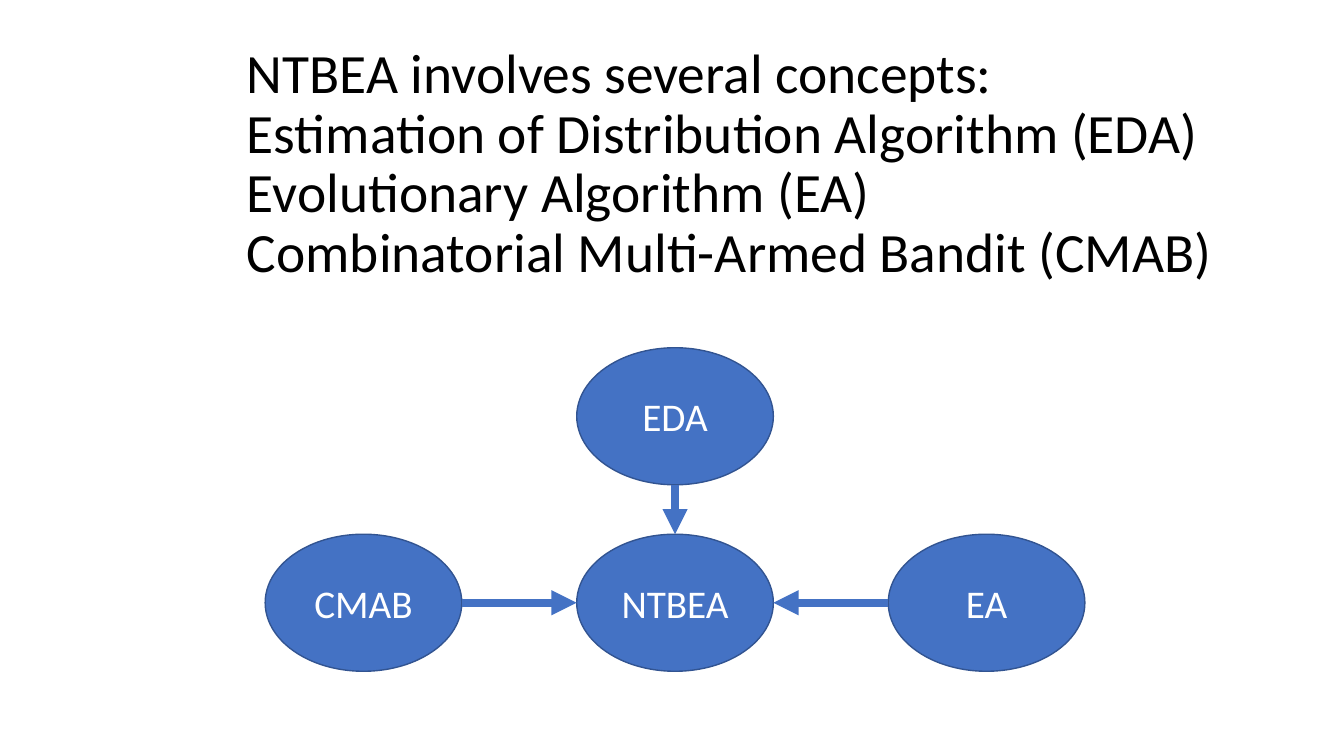
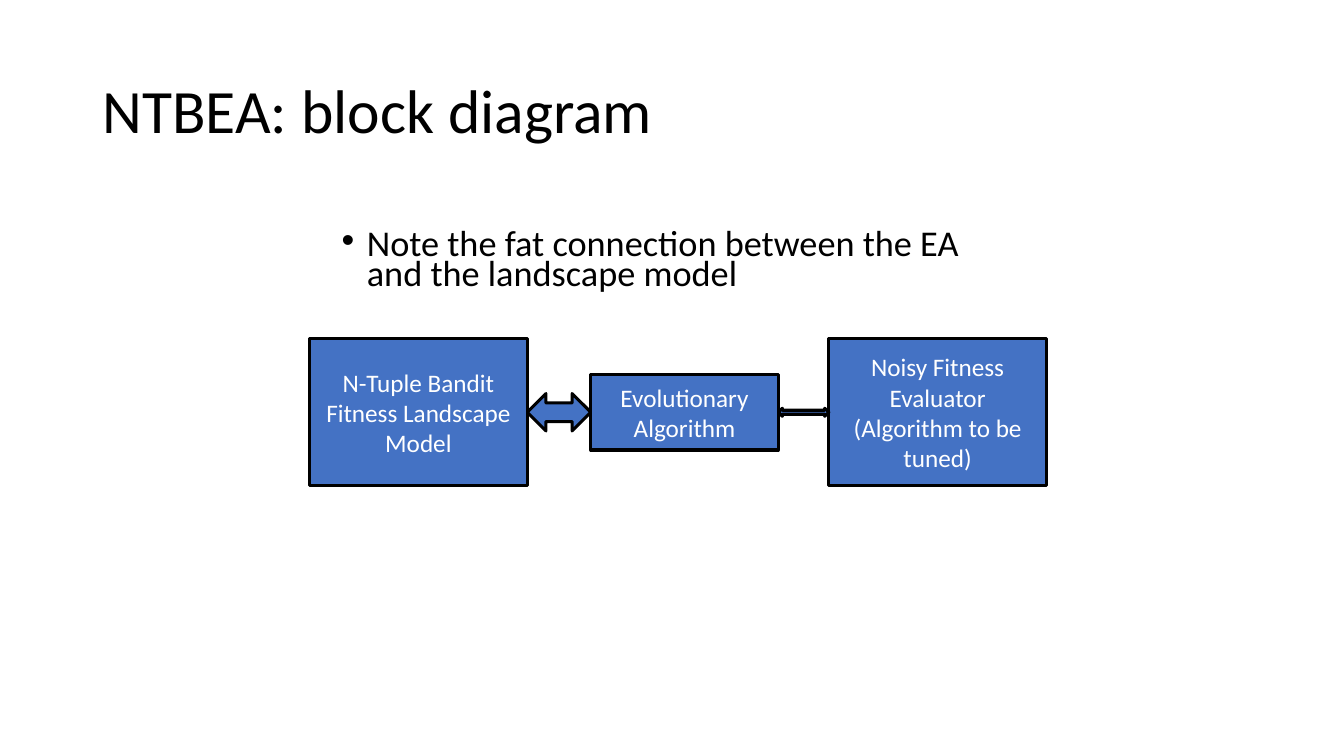
from dataclasses import dataclass
from itertools import accumulate

from lxml import etree
from pptx import Presentation
from pptx import util as u
from pptx.dml.color import RGBColor
from pptx.enum import shapes, text
from pptx.oxml.ns import qn
from pptx.shapes.autoshape import Shape
from pptx.slide import Slide
from pptx.text.text import TextFrame

FONT = "Calibri"
HUES = {"blue": "4472C4", "edge": "325491", "ink": "000000", "pale": "FFFFFF"}
KIND = shapes.MSO_SHAPE
MID, TOP = text.MSO_ANCHOR.MIDDLE, text.MSO_ANCHOR.TOP
LEFT, CENTER = text.PP_ALIGN.LEFT, text.PP_ALIGN.CENTER


@dataclass(frozen=True)
class Box:
    x: float
    y: float
    w: float
    h: float

    @property
    def mid(self) -> tuple[float, float]:
        return self.x + self.w / 2, self.y + self.h / 2


@dataclass(frozen=True)
class Node:
    name: str
    col: int
    row: int


@dataclass(frozen=True)
class Block:
    w: float
    h: float
    words: str = ""


NODES = [Node("CMAB", 0, 1), Node("EA", 2, 1), Node("EDA", 1, 0)]
HUB = Node("NTBEA", 1, 1)
CHAIN = [
    Block(2.16, 1.46, "N-Tuple Bandit Fitness Landscape Model"),
    Block(0.63, 0.37),
    Block(1.86, 0.75, "Evolutionary Algorithm"),
    Block(0.5, 0.08),
    Block(2.16, 1.46, "Noisy Fitness Evaluator\n(Algorithm to be tuned)"),
]


def color(name: str) -> RGBColor:
    return RGBColor.from_string(HUES[name])


def lengths(box: Box) -> list[u.Length]:
    return [u.Inches(v) for v in (box.x, box.y, box.w, box.h)]


def write(frame: TextFrame, words: str, *, size: float, hue: str = "ink",
          align: text.PP_ALIGN = LEFT, anchor: text.MSO_ANCHOR = MID,
          space: float = 1.0, bullet: bool = False) -> None:
    frame.word_wrap = True
    frame.vertical_anchor = anchor
    frame.text = words
    for para in frame.paragraphs:
        para.alignment = align
        para.line_spacing = space
        for run in para.runs:
            run.font.name = FONT
            run.font.size = u.Pt(size)
            run.font.color.rgb = color(hue)
        if bullet:
            props = para._p.get_or_add_pPr()
            props.set("marL", str(u.Inches(0.25)))
            props.set("indent", str(-u.Inches(0.25)))
            etree.SubElement(props, qn("a:buFont"), typeface="Arial")
            etree.SubElement(props, qn("a:buChar"), char="•")


def label(slide: Slide, box: Box, words: str, **form) -> None:
    write(slide.shapes.add_textbox(*lengths(box)).text_frame, words, **form)


def title(slide: Slide, box: Box, words: str, size: float = 44,
          anchor: text.MSO_ANCHOR = MID) -> None:
    label(slide, box, words, size=size, anchor=anchor, space=0.9)


def solid(slide: Slide, kind: KIND, box: Box, edge: str, width: float) -> Shape:
    shape = slide.shapes.add_shape(kind, *lengths(box))
    shape.shadow.inherit = False
    shape.fill.solid()
    shape.fill.fore_color.rgb = color("blue")
    shape.line.color.rgb = color(edge)
    shape.line.width = u.Pt(width)
    return shape


def arrow(slide: Slide, start: tuple[float, float],
          end: tuple[float, float]) -> None:
    ends = [u.Inches(v) for v in (*start, *end)]
    line = slide.shapes.add_connector(shapes.MSO_CONNECTOR.STRAIGHT, *ends)
    line.line.color.rgb = color("blue")
    line.line.width = u.Pt(6)
    etree.SubElement(line.line._get_or_add_ln(), qn("a:tailEnd"), type="triangle")
    etree.SubElement(line._element.spPr, qn("a:effectLst"))


def oval(slide: Slide, node: Node) -> Box:
    box = Box(2.63 + 3.09 * node.col, 3.45 + 1.85 * node.row, 1.95, 1.36)
    shape = solid(slide, KIND.OVAL, box, "edge", 1)
    write(shape.text_frame, node.name, size=28, hue="pale", align=CENTER)
    return box


def concepts(slide: Slide) -> None:
    title(slide, Box(2.35, 0.4, 10.41, 3.05),
          "NTBEA involves several concepts:\v"
          "Estimation of Distribution Algorithm (EDA)\v"
          "Evolutionary Algorithm (EA)\v"
          "Combinatorial Multi-Armed Bandit (CMAB)", size=39.6, anchor=TOP)
    boxes = [oval(slide, node) for node in NODES]
    hub = oval(slide, HUB)
    for node, box in zip(NODES, boxes):
        dx = (HUB.col - node.col) * hub.w / 2
        dy = (HUB.row - node.row) * hub.h / 2
        (ax, ay), (bx, by) = box.mid, hub.mid
        arrow(slide, (ax + dx, ay + dy), (bx - dx, by - dy))


def diagram(slide: Slide) -> None:
    title(slide, Box(0.92, 0.4, 11.5, 1.45), "NTBEA: block diagram")
    label(slide, Box(3.29, 2.25, 6.75, 0.77),
          "Note the fat connection between the EA and the landscape model",
          size=25.9, anchor=TOP, space=0.7, bullet=True)
    lefts = accumulate((block.w for block in CHAIN), initial=3.07)
    pairs = sorted(zip(lefts, CHAIN), key=lambda pair: not pair[1].words)
    for x, block in pairs:
        kind = KIND.RECTANGLE if block.words else KIND.LEFT_RIGHT_ARROW
        box = Box(x, 4.09 - block.h / 2, block.w, block.h)
        shape = solid(slide, kind, box, "ink", 2.25)
        if block.words:
            write(shape.text_frame, block.words, size=18, hue="pale", align=CENTER)


def main() -> None:
    deck = Presentation()
    deck.slide_width, deck.slide_height = u.Inches(13.33), u.Inches(7.5)
    for draw in (concepts, diagram):
        draw(deck.slides.add_slide(deck.slide_layouts[6]))
    deck.save("out.pptx")


if __name__ == "__main__":
    main()
